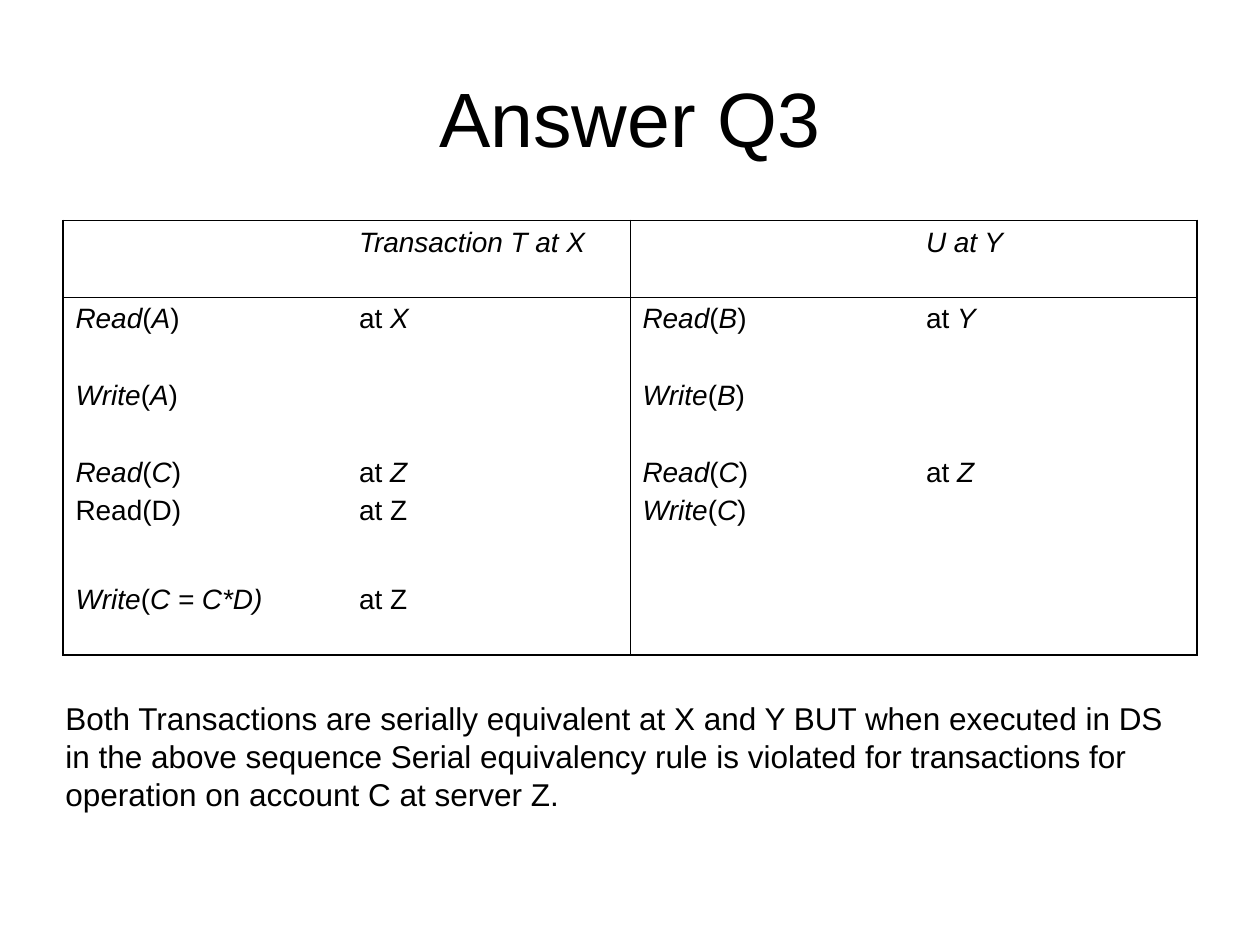
import dataclasses

import pptx
import pptx.dml.color
import pptx.enum.text
import pptx.oxml
import pptx.oxml.ns
import pptx.util

Inches = pptx.util.Inches
Pt = pptx.util.Pt


@dataclasses.dataclass(frozen=True)
class Theme:
    font: str = "Arial"
    ink: str = "000000"
    paper: str = "FFFFFF"
    title: int = 44
    cell: int = 16
    note: int = 18
    thick: float = 1.08
    thin: float = 0.45


THEME = Theme()
ROWS = [
    ["", "_Transaction T at X_", "", "_U at Y_"],
    ["_Read_(_A_)", "at _X_", "_Read_(_B_)", "at _Y_"],
    ["_Write_(_A_)", "", "_Write_(_B_)", ""],
    ["_Read_(_C_)\nRead(D)", "at _Z_\nat Z", "_Read_(_C_)\n_Write_(_C_)", "at _Z_"],
    ["_Write_(_C = C*D)_", "at Z", "", ""],
]
HEIGHTS = [0.61, 0.61, 0.61, 1.01, 0.61]
WIDTH = 2.25
NOTE = (
    "Both Transactions are serially equivalent at X and Y BUT when executed in DS "
    "in the above sequence Serial equivalency rule is violated for transactions for "
    "operation on account C at server Z."
)


def add_text(para, text, size):
    for index, part in enumerate(text.split("_")):
        if part:
            run = para.add_run()
            run.text = part
            run.font.name = THEME.font
            run.font.size = Pt(size)
            run.font.italic = index % 2 == 1
            run.font.color.rgb = pptx.dml.color.RGBColor.from_string(THEME.ink)


def add_title(slide, text):
    title = slide.shapes.title
    title.left, title.top = Inches(0.5), Inches(0.3)
    title.width, title.height = Inches(9), Inches(1.25)
    frame = title.text_frame
    frame.vertical_anchor = pptx.enum.text.MSO_ANCHOR.MIDDLE
    para = frame.paragraphs[0]
    para.alignment = pptx.enum.text.PP_ALIGN.CENTER
    add_text(para, text, THEME.title)


def set_lines(cell, row, col):
    last = len(ROWS) - 1
    sides = {
        "L": {0: THEME.thick, 2: THEME.thin}.get(col),
        "R": {1: THEME.thin, 3: THEME.thick}.get(col),
        "T": {0: THEME.thick, 1: THEME.thin}.get(row),
        "B": {0: THEME.thin, last: THEME.thick}.get(row),
    }
    props = cell._tc.get_or_add_tcPr()
    space = pptx.oxml.ns.nsdecls("a")
    for side, width in sides.items():
        fill = "<a:noFill/>"
        if width:
            fill = f'<a:solidFill><a:srgbClr val="{THEME.ink}"/></a:solidFill>'
        props.append(pptx.oxml.parse_xml(
            f'<a:ln{side} {space} w="{Pt(width or 0)}">{fill}</a:ln{side}>'
        ))


def fill_cell(cell, text):
    cell.fill.solid()
    cell.fill.fore_color.rgb = pptx.dml.color.RGBColor.from_string(THEME.paper)
    frame = cell.text_frame
    for index, line in enumerate(text.split("\n")):
        para = frame.add_paragraph() if index else frame.paragraphs[0]
        if index:
            para.space_before = Pt(4)
        add_text(para, line, THEME.cell)


def add_grid(slide):
    count = len(ROWS[0])
    table = slide.shapes.add_table(
        len(ROWS), count, Inches(0.5), Inches(1.75),
        Inches(WIDTH * count), Inches(sum(HEIGHTS)),
    ).table
    table.first_row = table.horz_banding = False
    for col in table.columns:
        col.width = Inches(WIDTH)
    for row, texts in enumerate(ROWS):
        table.rows[row].height = Inches(HEIGHTS[row])
        for col, text in enumerate(texts):
            cell = table.cell(row, col)
            set_lines(cell, row, col)
            fill_cell(cell, text)


def add_note(slide, text):
    box = slide.shapes.add_textbox(Inches(0.42), Inches(5.5), Inches(8.92), Inches(1))
    box.text_frame.word_wrap = True
    add_text(box.text_frame.paragraphs[0], text, THEME.note)


def main():
    deck = pptx.Presentation()
    deck.slide_width, deck.slide_height = Inches(10), Inches(7.5)
    slide = deck.slides.add_slide(deck.slide_layouts[5])
    add_title(slide, "Answer Q3")
    add_grid(slide)
    add_note(slide, NOTE)
    deck.save("out.pptx")


if __name__ == "__main__":
    main()
